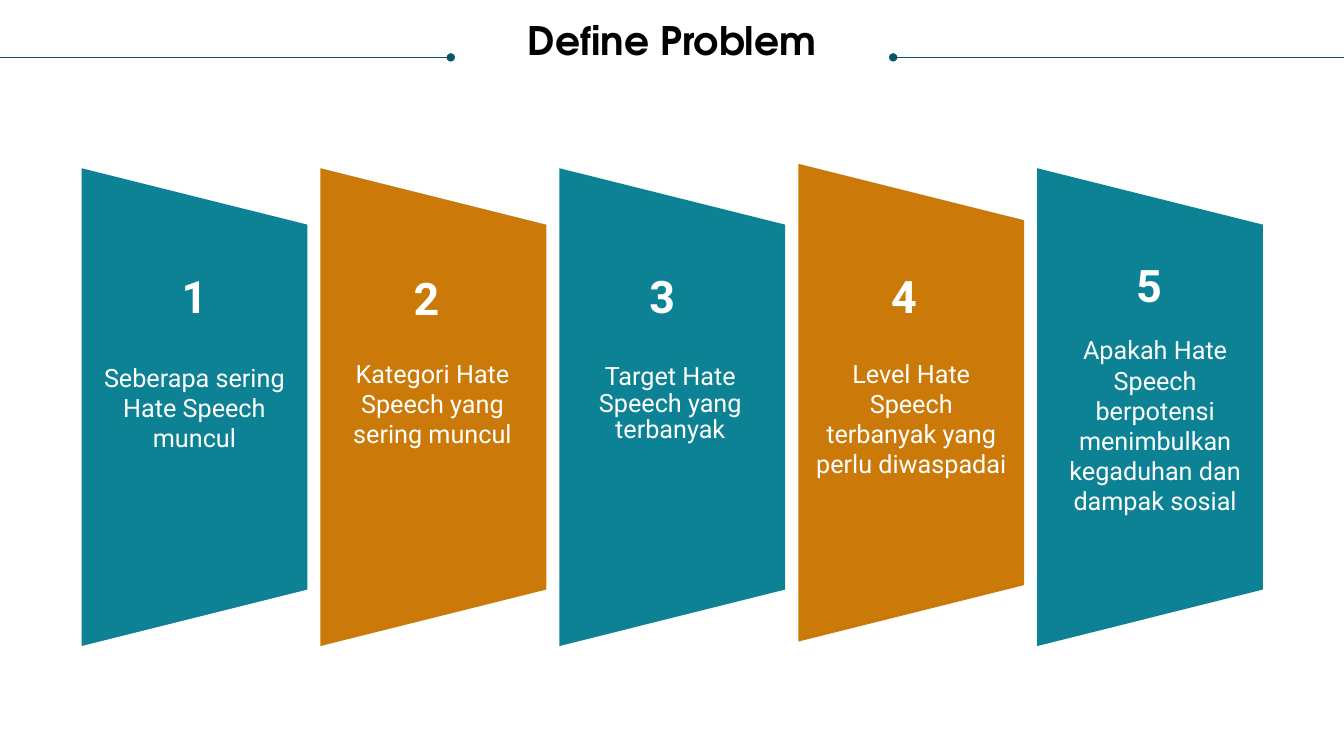
"""Build the "Define Problem" slide with five numbered panels."""
from lxml import etree
from pptx import Presentation
from pptx.dml.color import RGBColor
from pptx.enum import shapes, text
from pptx.oxml import ns
from pptx.util import Pt

TEAL = RGBColor(0x0D, 0x82, 0x95)
ORANGE = RGBColor(0xCB, 0x7A, 0x09)
DARK_TEAL = RGBColor(0x08, 0x57, 0x64)
BLACK = RGBColor(0, 0, 0)
WHITE = RGBColor(255, 255, 255)

PANEL_LENGTH, PANEL_WIDTH, PANEL_PITCH = 341.28, 161.28, 170.64
FIRST_PANEL_LEFT = -31.7
RULE_TOP = 41

deck = Presentation()
deck.slide_width, deck.slide_height = Pt(960), Pt(540)
page = deck.slides.add_slide(deck.slide_layouts[6])


def add_label(words, left, top, width, height, size, font, color, bold=False, spacing=None):
    box = page.shapes.add_textbox(Pt(left), Pt(top), Pt(width), Pt(height))
    frame = box.text_frame
    frame.margin_left = frame.margin_top = frame.margin_right = frame.margin_bottom = 0
    frame.word_wrap = True
    frame.text = words
    para = frame.paragraphs[0]
    para.alignment = text.PP_ALIGN.CENTER
    para.line_spacing = spacing
    span = para.runs[0]
    span.font.name, span.font.size, span.font.bold = font, Pt(size), bold
    span.font.color.rgb = color


for inner, outer in [(322, 0), (638, 960)]:
    rule = page.shapes.add_connector(
        shapes.MSO_CONNECTOR.STRAIGHT, Pt(inner), Pt(RULE_TOP), Pt(outer), Pt(RULE_TOP))
    rule.line.color.rgb = DARK_TEAL
    rule.line.width = Pt(0.5)
    etree.SubElement(rule.line._get_or_add_ln(), ns.qn("a:headEnd"), type="oval")
    etree.SubElement(rule._element.spPr, ns.qn("a:effectLst"))

add_label("Define Problem", 18, 15.1, 924, 91.4, 28, "TeX Gyre Adventor", BLACK, True, 0.9)

panels = [
    ("Seberapa sering Hate Speech muncul", 210.2, (85, 192.2), (69.8, 258.5), None),
    ("Kategori Hate Speech yang sering muncul", 210.2, (250.6, 193.7), (239.8, 255.6), None),
    ("Target Hate Speech yang terbanyak", 210.2, (419, 192.2), (409.7, 259.9), Pt(19)),
    ("Level Hate Speech terbanyak yang perlu diwaspadai",
     207, (591.8, 192.2), (581.8, 255.6), None),
    ("Apakah Hate Speech berpotensi menimbulkan kegaduhan dan dampak sosial",
     210.2, (766.8, 184.3), (756, 239), None),
]

for index, (question, panel_top, number_spot, question_spot, spacing) in enumerate(panels):
    panel = page.shapes.add_shape(
        shapes.MSO_SHAPE.TRAPEZOID, Pt(FIRST_PANEL_LEFT + index * PANEL_PITCH),
        Pt(panel_top), Pt(PANEL_LENGTH), Pt(PANEL_WIDTH))
    panel.rotation = 90
    panel.shadow.inherit = False
    panel.fill.solid()
    panel.fill.fore_color.rgb = ORANGE if index % 2 else TEAL
    panel.line.fill.background()
    add_label(str(index + 1), *number_spot, 108, 38.9, 32, "Roboto", WHITE, True)
    add_label(question, *question_spot, 138.2, 65.5, 18, "Roboto", WHITE, spacing=spacing)

deck.save("out.pptx")
